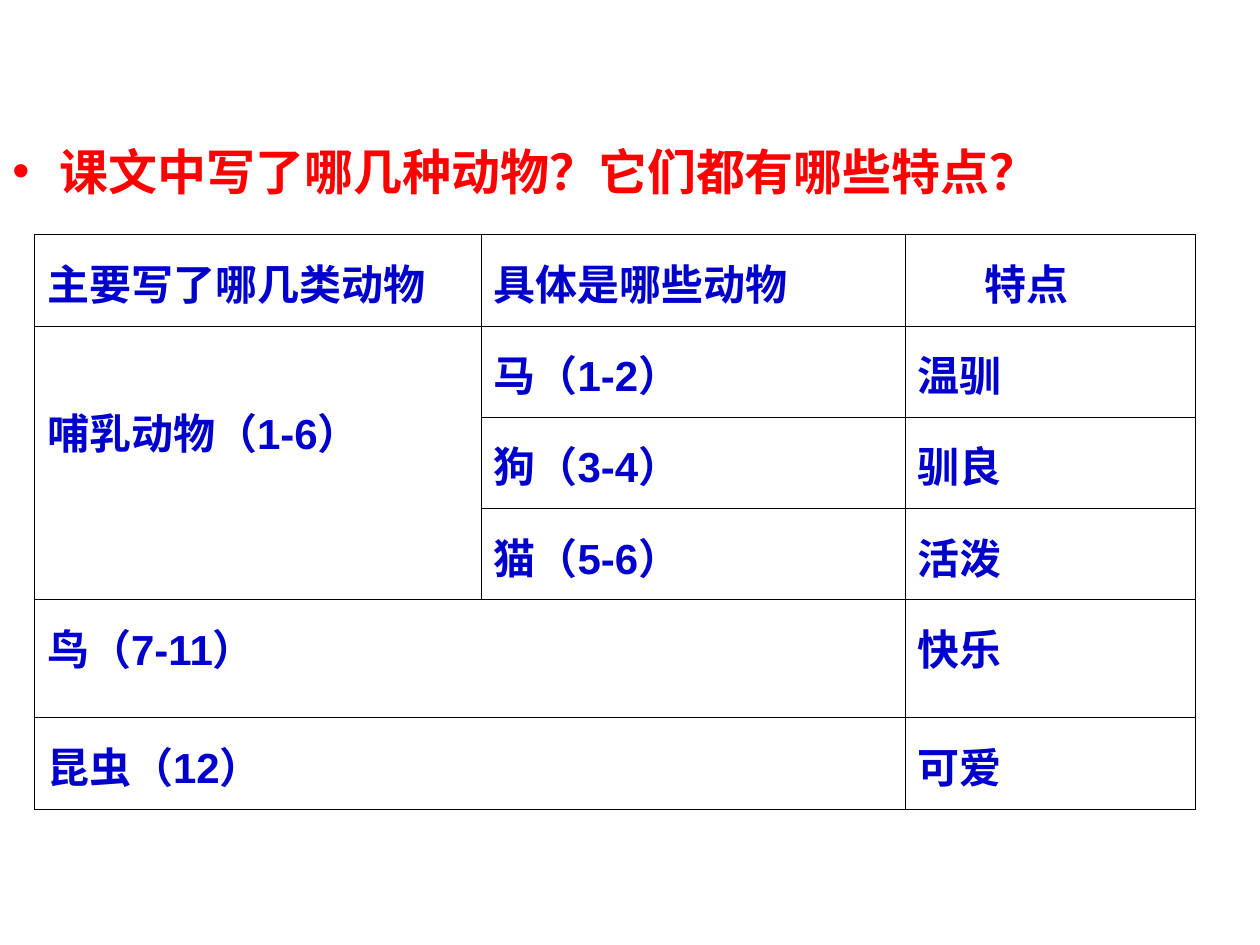
from dataclasses import dataclass

from lxml.etree import SubElement as add_element
from pptx import Presentation
from pptx.dml.color import RGBColor as Color
from pptx.enum.text import MSO_ANCHOR as Anchor
from pptx.oxml.ns import qn
from pptx.util import Cm, Pt


@dataclass(frozen=True)
class Theme:
    font: str = "Arial"
    question_color: str = "FF0000"
    table_color: str = "0000CC"
    border_color: str = "000000"
    question_size: float = 28
    table_size: float = 24
    border_width: float = 0.45


class SlideBuilder:
    def __init__(self, slide, theme):
        self.slide = slide
        self.theme = theme

    def style(self, paragraph, size, color):
        formats = {"name": self.theme.font, "size": Pt(size), "bold": True}
        for name, value in formats.items():
            setattr(paragraph.font, name, value)
        paragraph.font.color.rgb = Color.from_string(color)

    def bullet(self, text, left, top, width, height, indent):
        shape = self.slide.shapes.add_textbox(Cm(left), Cm(top), Cm(width), Cm(height))
        frame = shape.text_frame
        formats = {"word_wrap": True, "margin_left": Cm(0.25), "margin_right": Cm(0.25),
                   "margin_top": Cm(0.13), "margin_bottom": Cm(0.13)}
        for name, value in formats.items():
            setattr(frame, name, value)
        paragraph = frame.paragraphs[0]
        paragraph.text = text
        properties = paragraph._p.get_or_add_pPr()
        properties.set("marL", str(Cm(indent)))
        properties.set("indent", str(-Cm(indent)))
        add_element(properties, qn("a:buFont"), typeface=self.theme.font)
        add_element(properties, qn("a:buChar"), char="•")
        self.style(paragraph, self.theme.question_size, self.theme.question_color)

    def border(self, cell):
        properties = cell._tc.get_or_add_tcPr()
        for side in ("a:lnL", "a:lnR", "a:lnT", "a:lnB"):
            line = add_element(properties, qn(side), w=str(Pt(self.theme.border_width)))
            fill = add_element(line, qn("a:solidFill"))
            add_element(fill, qn("a:srgbClr"), val=self.theme.border_color)

    def cell(self, cell, text, margins):
        self.border(cell)
        cell.fill.background()
        formats = {"margin_left": Cm(0.25), "margin_right": Cm(0.25),
                   "margin_top": Cm(0.34), "margin_bottom": Cm(0.13),
                   "vertical_anchor": Anchor.TOP, **margins}
        for name, value in formats.items():
            setattr(cell, name, value)
        paragraph = cell.text_frame.paragraphs[0]
        paragraph.text = text
        self.style(paragraph, self.theme.table_size, self.theme.table_color)

    def table(self, rows, left, top, widths, heights, merges, margins):
        frame = self.slide.shapes.add_table(
            len(heights), len(widths), Cm(left), Cm(top), Cm(sum(widths)), Cm(sum(heights)))
        table = frame.table
        table.first_row = table.horz_banding = False
        for column, width in zip(table.columns, widths):
            column.width = Cm(width)
        for row, height in zip(table.rows, heights):
            row.height = Cm(height)
        for start, end in merges:
            table.cell(*start).merge(table.cell(*end))
        for row_index, row in enumerate(rows):
            for column_index, text in enumerate(row):
                position = (row_index, column_index)
                self.cell(table.cell(*position), text, margins.get(position, {}))


def main():
    presentation = Presentation()
    presentation.slide_width = Cm(25.4)
    presentation.slide_height = Cm(19.05)
    slide = presentation.slides.add_slide(presentation.slide_layouts[6])
    builder = SlideBuilder(slide, Theme())

    builder.bullet("课文中写了哪几种动物？它们都有哪些特点？", 0, 2.72, 24.71, 16.33, 0.96)
    rows = [
        ("主要写了哪几类动物", "具体是哪些动物", "特点"),
        ("哺乳动物（1-6）", "马（1-2）", "温驯"),
        ("", "狗（3-4）", "驯良"),
        ("", "猫（5-6）", "活泼"),
        ("鸟（7-11）", "", "快乐"),
        ("昆虫（12）", "", "可爱"),
    ]
    builder.table(
        rows, 0.7, 4.73,
        widths=(9, 8.55, 5.85),
        heights=(1.84, 1.84, 1.84, 1.84, 2.38, 1.84),
        merges=[((1, 0), (3, 0)), ((4, 0), (4, 1)), ((5, 0), (5, 1))],
        margins={(0, 2): {"margin_left": Cm(1.6)}, (1, 0): {"margin_top": Cm(1.51)}},
    )
    presentation.save("out.pptx")


if __name__ == "__main__":
    main()
